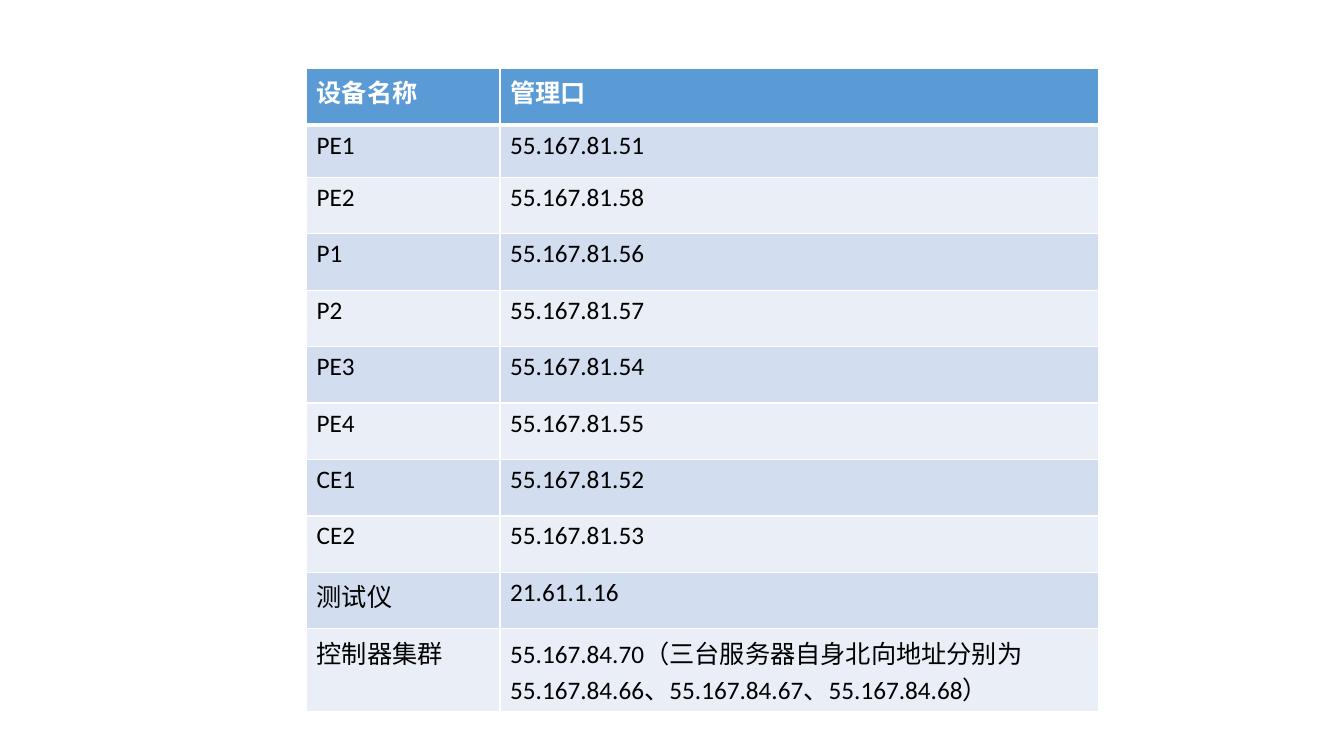
"""Builds the slide listing the management address of each device."""
from lxml import etree
from pptx import Presentation
from pptx import util as u
from pptx.dml.color import RGBColor
from pptx.oxml import ns

WHITE = RGBColor(0xFF, 0xFF, 0xFF)
BLACK = RGBColor(0x00, 0x00, 0x00)
HEADER_BLUE = RGBColor(0x5B, 0x9B, 0xD5)
BAND_DARK = RGBColor(0xD2, 0xDE, 0xEF)
BAND_LIGHT = RGBColor(0xEA, 0xEF, 0xF7)

DEVICES = [
    ("设备名称", "管理口"),
    ("PE1", "55.167.81.51"),
    ("PE2", "55.167.81.58"),
    ("P1", "55.167.81.56"),
    ("P2", "55.167.81.57"),
    ("PE3", "55.167.81.54"),
    ("PE4", "55.167.81.55"),
    ("CE1", "55.167.81.52"),
    ("CE2", "55.167.81.53"),
    ("测试仪", "21.61.1.16"),
    ("控制器集群", "55.167.84.70（三台服务器自身北向地址分别为"
                "55.167.84.66、55.167.84.67、55.167.84.68）"),
]
COLUMN_WIDTHS = [1.92, 5.94]
ROW_HEIGHT = 0.56
FIRST_DEVICE_HEIGHT = 0.52


def write(cell, content, *, size=18, color=BLACK, bold=False, font="Calibri"):
    """Puts one formatted run of text into a cell."""
    run = cell.text_frame.paragraphs[0].add_run()
    run.text = content
    run.font.size = u.Pt(size)
    run.font.name = font
    run.font.bold = bold
    run.font.color.rgb = color


def add_border(cell, side, points):
    """Draws a white line on one side of a cell."""
    properties = cell._tc.get_or_add_tcPr()
    line = etree.SubElement(properties, ns.qn(f"a:ln{side}"), w=str(u.Pt(points)))
    fill = etree.SubElement(line, ns.qn("a:solidFill"))
    etree.SubElement(fill, ns.qn("a:srgbClr"), val=str(WHITE))


prs = Presentation()
prs.slide_width = u.Inches(13.33)
prs.slide_height = u.Inches(7.5)
slide = prs.slides.add_slide(prs.slide_layouts[6])

devices = slide.shapes.add_table(
    len(DEVICES), len(COLUMN_WIDTHS), u.Inches(3.04), u.Inches(0.68),
    u.Inches(sum(COLUMN_WIDTHS)), u.Inches(ROW_HEIGHT * len(DEVICES))).table

for column, width in zip(devices.columns, COLUMN_WIDTHS):
    column.width = u.Inches(width)

for r, entries in enumerate(DEVICES):
    header = r == 0
    devices.rows[r].height = u.Inches(FIRST_DEVICE_HEIGHT if r == 1 else ROW_HEIGHT)
    band = HEADER_BLUE if header else (BAND_LIGHT, BAND_DARK)[r % 2]
    for c, entry in enumerate(entries):
        cell = devices.cell(r, c)
        write(cell, entry, color=WHITE if header else BLACK, bold=header)
        for side, points in (("L", 1), ("R", 1), ("T", 3 if r == 1 else 1),
                             ("B", 3 if header else 1)):
            add_border(cell, side, points)
        cell.fill.solid()
        cell.fill.fore_color.rgb = band

prs.save("out.pptx")
